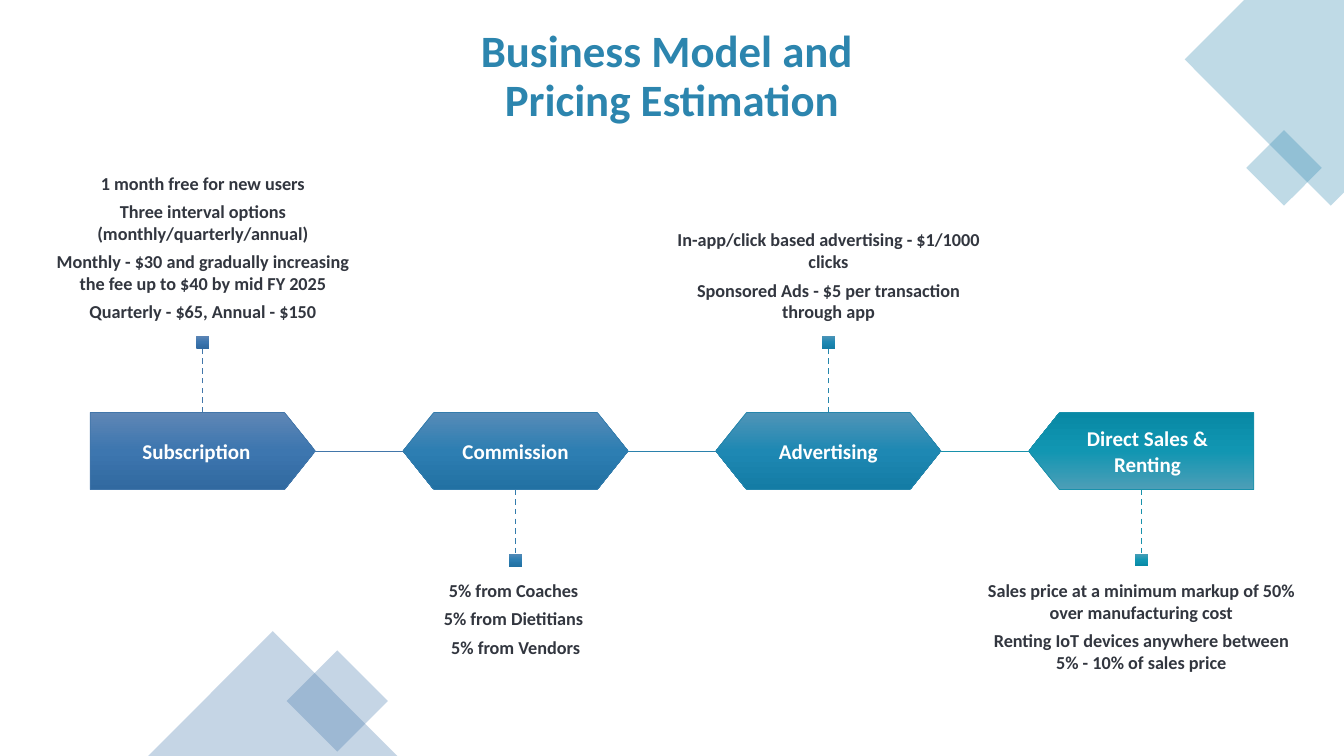
from copy import deepcopy
from dataclasses import dataclass

from lxml.etree import SubElement
from pptx import Presentation
from pptx.dml.color import RGBColor
from pptx.enum.dml import MSO_LINE
from pptx.enum.shapes import MSO_CONNECTOR, MSO_SHAPE
from pptx.enum.text import MSO_ANCHOR, MSO_AUTO_SIZE, PP_ALIGN
from pptx.oxml.ns import qn
from pptx.util import Inches, Pt


@dataclass(frozen=True)
class Theme:
    font: str = "Calibri"
    title_size: int = 32
    label_size: int = 15
    body_size: int = 13
    title: str = "2C85AE"
    accent: str = "4276AA"
    body: str = "32363F"
    white: str = "FFFFFF"
    paragraph_gap: float = 0.35  # share of the type size
    decor_opacity: int = 30


@dataclass(frozen=True)
class Stage:
    name: str
    details: tuple
    gradient: tuple
    outline: str
    link: str = ""
    shape_kind: MSO_SHAPE = MSO_SHAPE.HEXAGON
    rotation: int = 0
    label_shift: float = 0  # columns


STAGES = (
    Stage("Subscription",
          ("1 month free for new users",
           "Three interval options (monthly/quarterly/annual)",
           "Monthly - $30 and gradually increasing the fee up to $40 by mid FY 2025",
           "Quarterly - $65, Annual - $150"),
          ("5E86B5", "3D76AF", "3169A0"), "4276AA", "4276AA",
          MSO_SHAPE.PENTAGON, label_shift=-0.02),
    Stage("Commission",
          ("5% from Coaches ", "5% from Dietitians ", "5% from Vendors"),
          ("568BB7", "2D7EB2", "2271A3"), "337CAC", "2B81AC"),
    Stage("Advertising",
          ("In-app/click based advertising - $1/1000 clicks",
           "Sponsored Ads - $5 per transaction through app"),
          ("5094B7", "1E88B3", "147CA5"), "2586AC", "1891AB"),
    Stage("Direct Sales & Renting",
          ("Sales price at a minimum markup of 50% over manufacturing cost",
           "Renting IoT devices anywhere between 5% - 10% of sales price"),
          ("4D9EB7", "1196B2", "0889A5"), "1891AB", "",
          MSO_SHAPE.PENTAGON, rotation=180, label_shift=0.02),
)

# Grid: columns between side margins, rows over the full height
ROWS = 59
AXIS = 35.2
STAGE_WIDTH, STAGE_ROWS = 0.72, 6
LABEL_WIDTH = 0.67
STEM_ROWS, DOT_ROWS, DETAIL_ROWS = 5, 1, 16


class SlideBuilder:
    def __init__(self, presentation, layout_index, theme):
        self.theme = theme
        self.width, self.height = presentation.slide_width, presentation.slide_height
        self.margin = Inches(0.46)
        self.column = (self.width - 2 * self.margin) / len(STAGES)
        self.row = self.height / ROWS
        self.slide = presentation.slides.add_slide(presentation.slide_layouts[layout_index])
        self.shapes = self.slide.shapes

    def share(self, x, y):
        """Percentages of the slide's width and height."""
        return round(self.width * x / 100), round(self.height * y / 100)

    def cell(self, column, row):
        return round(self.margin + column * self.column), round(row * self.row)

    def box(self, center, top, columns, rows):
        return (*self.cell(center - columns / 2, top),
                round(columns * self.column), round(rows * self.row))

    def place(self, shape, box):
        shape.left, shape.top, shape.width, shape.height = box

    def format_text(self, shape, size, color, anchor, insets, gap=0, line_spacing=1.0):
        frame = shape.text_frame
        frame.word_wrap = True
        frame.auto_size = MSO_AUTO_SIZE.NONE
        frame.vertical_anchor = anchor
        frame.margin_left = frame.margin_right = Inches(insets[0])
        frame.margin_top = frame.margin_bottom = Inches(insets[1])
        for paragraph in frame.paragraphs:
            properties = paragraph._p.get_or_add_pPr()
            properties.set("marL", "0")
            properties.set("indent", "0")
            SubElement(properties, qn("a:buNone"))
            paragraph.alignment = PP_ALIGN.CENTER
            paragraph.line_spacing = line_spacing
            paragraph.space_before = Pt(0)
            paragraph.space_after = Pt(size * gap)
            for run in paragraph.runs:
                run.font.name = self.theme.font
                run.font.size = Pt(size)
                run.font.bold = True
                run.font.color.rgb = RGBColor.from_string(color)

    def title(self, text, box):
        title = self.shapes.title
        self.place(title, box)
        title.text_frame.text = text
        self.format_text(title, self.theme.title_size, self.theme.title,
                         MSO_ANCHOR.MIDDLE, (0.1, 0.05), line_spacing=0.9)

    def details(self, index, lines, box, anchor):
        body = self.slide.placeholders[index]
        self.place(body, box)
        body.text_frame.text = "\n".join(lines)
        self.format_text(body, self.theme.body_size, self.theme.body, anchor,
                         (0, 0.13), self.theme.paragraph_gap)

    def label(self, text, box):
        label = self.shapes.add_textbox(*box)
        label.text_frame.text = text
        self.format_text(label, self.theme.label_size, self.theme.white,
                         MSO_ANCHOR.MIDDLE, (0.12, 0.12))

    def translucent(self, shape, color):
        shape.shadow.inherit = False
        shape.line.fill.background()
        shape.fill.solid()
        shape.fill.fore_color.rgb = RGBColor.from_string(color)
        color_element = shape._element.spPr.find(qn("a:solidFill"))[0]
        SubElement(color_element, qn("a:alpha"), val=str(self.theme.decor_opacity * 1000))

    def decor(self, kind, position, size, color, rotation=0):
        shape = self.shapes.add_shape(kind, *self.share(*position), *self.share(*size))
        shape.rotation = rotation
        self.translucent(shape, color)

    def outline(self, points, color):
        start, *rest = [self.share(*point) for point in points]
        builder = self.shapes.build_freeform(*start)
        builder.add_line_segments(rest)
        self.translucent(builder.convert_to_shape(), color)

    def gradient_shape(self, kind, box, colors, line_color=None):
        shape = self.shapes.add_shape(kind, *box)
        shape.shadow.inherit = False
        shape.fill.gradient()
        shape.fill.gradient_angle = 270
        stops = shape._element.spPr.find(".//" + qn("a:gsLst"))
        stops.insert(1, deepcopy(stops[0]))
        for stop, color, position in zip(shape.fill.gradient_stops, colors, (0, 0.5, 1)):
            stop.position = position
            stop.color.rgb = RGBColor.from_string(color)
        if line_color:
            shape.line.color.rgb = RGBColor.from_string(line_color)
            shape.line.width = Pt(0.5)
        else:
            shape.line.fill.background()
        return shape

    def line(self, start, end, color, width, dash=None):
        line = self.shapes.add_connector(MSO_CONNECTOR.STRAIGHT, *self.cell(*start), *self.cell(*end))
        line.line.color.rgb = RGBColor.from_string(color)
        line.line.width = Pt(width)
        if dash:
            line.line.dash_style = dash
        SubElement(line._element.spPr, qn("a:effectLst"))
        return line

    def stage(self, index, stage):
        center = index + 0.5
        above = index % 2 == 0
        top = AXIS - STAGE_ROWS / 2

        # Arrow block with its label
        block = self.gradient_shape(stage.shape_kind, self.box(center, top, STAGE_WIDTH, STAGE_ROWS),
                                    stage.gradient, stage.outline)
        block.adjustments[0] = 0.4
        block.rotation = stage.rotation
        self.label(stage.name, self.box(center + stage.label_shift, top, LABEL_WIDTH, STAGE_ROWS))

        # Link to the next block
        if stage.link:
            edge = center + STAGE_WIDTH / 2
            self.line((edge, AXIS), (edge + 1 - STAGE_WIDTH, AXIS), stage.link, 0.5)

        # Dashed stem, square dot and details, above or below by turns
        direction = -1 if above else 1
        stem_start = AXIS + direction * STAGE_ROWS / 2
        stem_end = stem_start + direction * STEM_ROWS
        dot_top = stem_end - DOT_ROWS if above else stem_end
        dot = self.gradient_shape(
            MSO_SHAPE.RECTANGLE,
            self.box(center, dot_top, DOT_ROWS * self.row / self.column, DOT_ROWS), stage.gradient)
        stem = self.line((center, stem_start), (center, stem_end), stage.outline, 1, MSO_LINE.DASH)
        stem.end_connect(dot, 2 if above else 0)
        text_top = dot_top - DETAIL_ROWS if above else dot_top + DOT_ROWS
        rows = min(DETAIL_ROWS, ROWS - text_top)
        self.details(index + 1, stage.details, self.box(center, text_top, 1, rows),
                     MSO_ANCHOR.BOTTOM if above else MSO_ANCHOR.TOP)


def main():
    presentation = Presentation()
    presentation.slide_width, presentation.slide_height = Inches(13.33), Inches(7.5)
    theme = Theme()
    builder = SlideBuilder(presentation, 4, theme)  # Comparison: title and four bodies

    # Corner decoration
    builder.outline([(100, 0), (92.57, 0), (88.15, 7.87), (99.02, 27.2), (100, 25.47)], theme.title)
    builder.decor(MSO_SHAPE.RECTANGLE, (93.55, 18.67), (3.98, 7.07), theme.title, 315)
    builder.decor(MSO_SHAPE.RECTANGLE, (22.43, 88), (5.33, 9.47), theme.accent, 45)
    builder.decor(MSO_SHAPE.ISOSCELES_TRIANGLE, (11.03, 83.47), (18.53, 16.53), theme.accent)

    # Title and revenue stages
    builder.title("Business Model and \vPricing Estimation",
                  (*builder.share(30.46, 4.93), *builder.share(39.08, 10.67)))
    for index, stage in enumerate(STAGES):
        builder.stage(index, stage)

    presentation.save("out.pptx")


if __name__ == "__main__":
    main()
